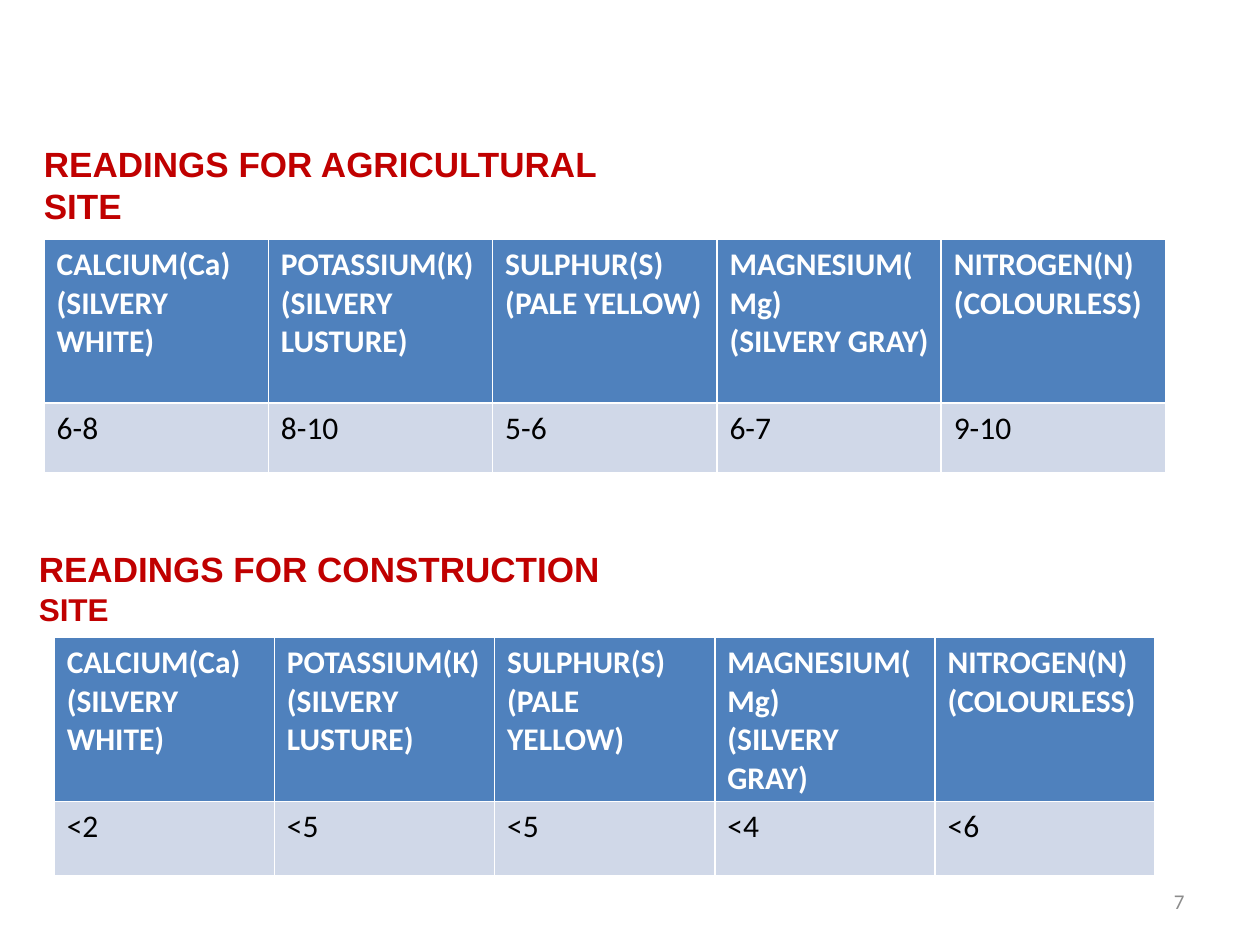
"""Builds a slide with soil nutrient readings for two sites."""
from pptx import Presentation
from pptx.dml.color import RGBColor
from pptx.enum.text import MSO_ANCHOR, MSO_AUTO_SIZE, PP_ALIGN
from pptx.util import Inches, Pt

MIDDLE = MSO_ANCHOR.MIDDLE
GROW = MSO_AUTO_SIZE.SHAPE_TO_FIT_TEXT
RIGHT = PP_ALIGN.RIGHT

THEME = {
    "head": "4F81BD", "body": "D0D8E8", "white": "FFFFFF", "black": "000000",
    "red": "C00000", "gray": "8C8C8C",
    "title": 20, "cell": 18, "page": 12, "sans": "Arial", "text": "Calibri",
}


def style(run, size, face, color, bold=False):
    """Formats one run from the theme."""
    run.font.size = Pt(THEME[size])
    run.font.name = THEME[face]
    run.font.color.rgb = RGBColor.from_string(THEME[color])
    run.font.bold = bold


deck = Presentation()
deck.slide_width, deck.slide_height = Inches(10), Inches(7.5)
slide = deck.slides.add_slide(deck.slide_layouts[6])
shapes = slide.shapes


def place(x, y, w, h):
    """Turns inches on the slide's grid into lengths."""
    return [Inches(v) for v in (x, y, w, h)]


page = shapes.add_textbox(*place(7.17, 6.95, 2.33, 0.4)).text_frame
page.word_wrap = True
page.vertical_anchor = MIDDLE
page.text = "7"
page.paragraphs[0].alignment = RIGHT
style(page.paragraphs[0].runs[0], "page", "text", "gray")

heads = [
    "CALCIUM(Ca)\n(SILVERY WHITE)",
    "POTASSIUM(K)\n(SILVERY LUSTURE)",
    "SULPHUR(S)\n(PALE YELLOW)",
    "MAGNESIUM(Mg)\n(SILVERY GRAY)",
    "NITROGEN(N)\n(COLOURLESS)",
]
joined = [heads[0], heads[1].replace("\n", ""), *heads[2:]]
sites = [
    (joined, ["6-8", "8-10", "5-6", "6-7", "9-10"], (0.35, 1.9, 8.9, 1.85)),
    (heads, ["<2", "<5", "<5", "<4", "<6"], (0.43, 5.06, 8.74, 1.89)),
]
top = Inches(1.3)
for names, values, box in sites:
    table = shapes.add_table(2, len(names), *place(*box)).table
    table.rows[0].height = top
    table.rows[1].height = Inches(box[3]) - top
    looks = [(names, "head", "white", True), (values, "body", "black", False)]
    for row, (texts, fill, color, bold) in enumerate(looks):
        for col, text in enumerate(texts):
            cell = table.cell(row, col)
            cell.fill.solid()
            cell.fill.fore_color.rgb = RGBColor.from_string(THEME[fill])
            cell.text_frame.text = text
            for para in cell.text_frame.paragraphs:
                style(para.runs[0], "cell", "text", color, bold)

titles = [
    (0.25, 1.08, [("READINGS FOR AGRICULTURAL SITE", "title")]),
    (0.21, 4.3, [("READINGS FOR CONSTRUCTION", "title"), (" SITE", "cell")]),
]
for x, y, parts in titles:
    frame = shapes.add_textbox(*place(x, y, 5, 0.44)).text_frame
    frame.word_wrap = True
    frame.auto_size = GROW
    for text, size in parts:
        run = frame.paragraphs[0].add_run()
        run.text = text
        style(run, size, "sans", "red", True)

deck.save("out.pptx")
